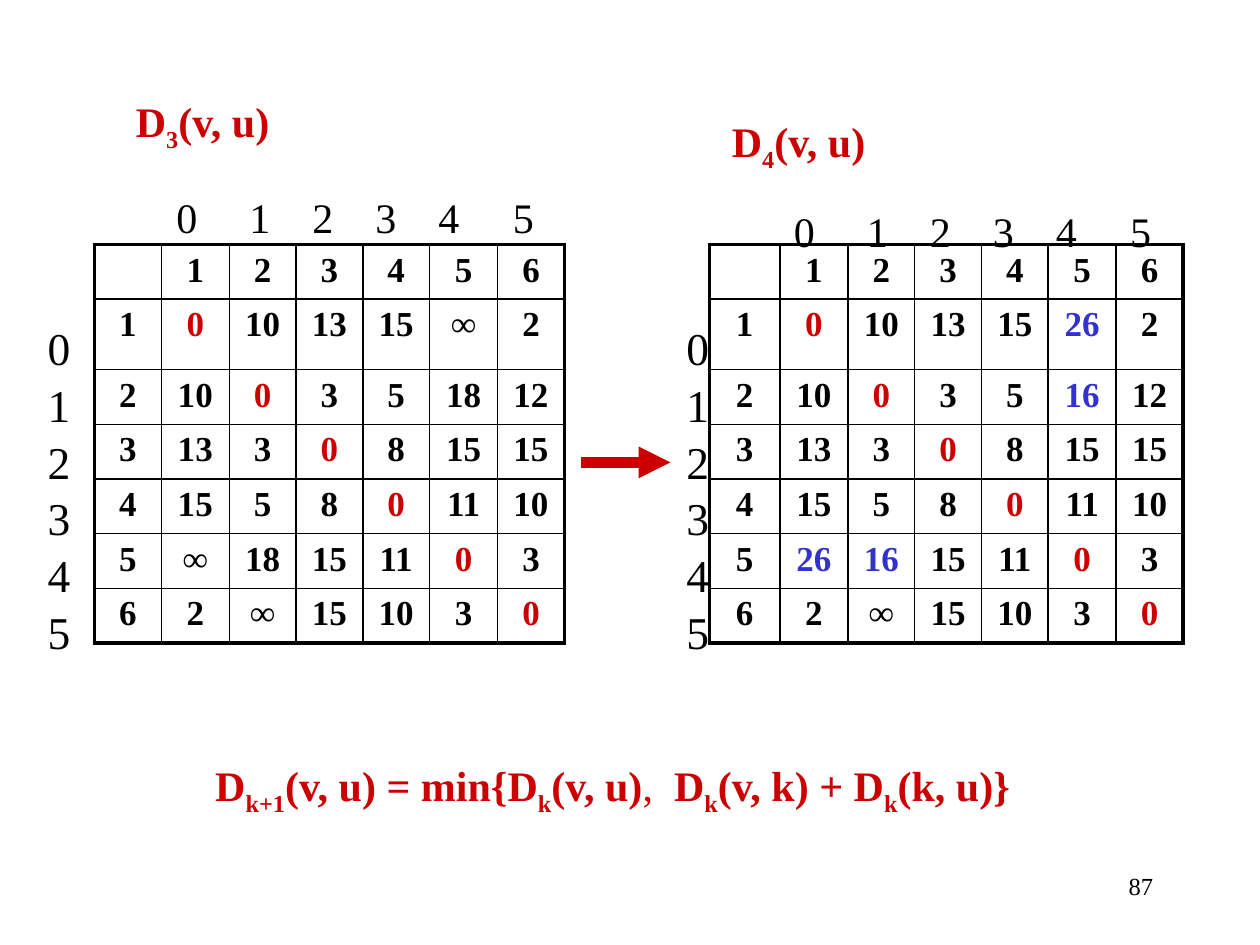
import pptx
import pptx.util
import pptx.dml.color
import pptx.enum.shapes
import pptx.enum.text
import pptx.oxml
import pptx.oxml.ns
from lxml import etree

Inches = pptx.util.Inches
Pt = pptx.util.Pt
RGB = pptx.dml.color.RGBColor
ALIGN = pptx.enum.text.PP_ALIGN

RED = RGB(0xCC, 0x00, 0x00)
BLUE = RGB(0x33, 0x33, 0xCC)
BLACK = RGB(0x00, 0x00, 0x00)
FACE = "Times New Roman"
WIDE, HIGH = 10, 7.5
THIN, THICK = 1, 2.25

D3 = [
    ["0", "10", "13", "15", "∞", "2"],
    ["10", "0", "3", "5", "18", "12"],
    ["13", "3", "0", "8", "15", "15"],
    ["15", "5", "8", "0", "11", "10"],
    ["∞", "18", "15", "11", "0", "3"],
    ["2", "∞", "15", "10", "3", "0"],
]
D4 = [
    ["0", "10", "13", "15", "26", "2"],
    ["10", "0", "3", "5", "16", "12"],
    ["13", "3", "0", "8", "15", "15"],
    ["15", "5", "8", "0", "11", "10"],
    ["26", "16", "15", "11", "0", "3"],
    ["2", "∞", "15", "10", "3", "0"],
]
PANELS = [
    dict(step="3", data=D3, old=D3, title=(0.98, 0.68), top=(1.22, 1.44),
         side=(0.28, 2.46), grid=(0.75, 1.94), first=0.53),
    dict(step="4", data=D4, old=D3, title=(5.71, 0.84), top=(6.12, 1.55),
         side=(5.35, 2.46), grid=(5.63, 1.94), first=0.56),
]
INDEX = ["0", "1", "2", "3", "4", "5"]
STOPS = [0.58, 1.08, 1.58, 2.08, 2.67]
COLS = [0.54, 0.53, 0.53, 0.53, 0.54, 0.53]
ROWS = [0.43, 0.56, 0.43, 0.43, 0.43, 0.43, 0.43]
RULE = [("D", "k+1"), ("(v, u) = min{D", "k"), ("(v, u)", ""), (", ", ""),
        ("D", "k"), ("(v, k) + D", "k"), ("(k, u)}", "")]


def style(para, size, color=BLACK, bold=False):
    font = para.font
    font.name, font.size, font.bold = FACE, Pt(size), bold
    font.color.rgb = color


def add_text(slide, spot, size):
    box = slide.shapes.add_textbox(*map(Inches, (*spot, *size)))
    frame = box.text_frame
    frame.word_wrap = True
    frame.margin_top, frame.margin_bottom = Inches(0.08), Inches(0.02)
    return frame


def add_math(para, parts):
    style(para, 24, RED, True)
    for base, sub in parts:
        run = para.add_run()
        run.text = base
        if base == ", ":
            run.font.bold = False
            run._r.get_or_add_rPr().set("spc", "300")
        if sub:
            low = para.add_run()
            low.text = sub
            low._r.get_or_add_rPr().set("baseline", "-25000")


def add_top(slide, spot):
    frame = add_text(slide, spot, (3.28, 0.5))
    frame.margin_left = Inches(0.18)
    para = frame.paragraphs[0]
    para.text = "\t".join(INDEX)
    style(para, 24)
    tabs = etree.Element(pptx.oxml.ns.qn("a:tabLst"))
    for stop in STOPS:
        etree.SubElement(tabs, pptx.oxml.ns.qn("a:tab"),
                         pos=str(Inches(stop)), algn="l")
    para._p.get_or_add_pPr().insert(0, tabs)


def add_side(slide, spot):
    frame = add_text(slide, spot, (0.83, 2.7))
    for row, label in enumerate(INDEX):
        para = frame.add_paragraph() if row else frame.paragraphs[0]
        para.text = label
        para.space_before = Pt(1.3)
        style(para, 26)


def add_edges(cell, row, col):
    props = cell._tc.get_or_add_tcPr()
    outer = {"lnL": col == 0, "lnR": col == len(COLS),
             "lnT": row == 0, "lnB": row == len(ROWS) - 1}
    for tag, thick in outer.items():
        line = etree.SubElement(props, pptx.oxml.ns.qn("a:" + tag),
                                w=str(Pt(THICK if thick else THIN)))
        fill = etree.SubElement(line, pptx.oxml.ns.qn("a:solidFill"))
        etree.SubElement(fill, pptx.oxml.ns.qn("a:srgbClr"), val=str(BLACK))


def add_grid(slide, panel):
    widths = [panel["first"]] + COLS
    size = sum(widths), sum(ROWS)
    table = slide.shapes.add_table(
        len(ROWS), len(widths), *map(Inches, (*panel["grid"], *size))).table
    table.first_row = table.horz_banding = False
    for col, width in enumerate(widths):
        table.columns[col].width = Inches(width)
    for row, height in enumerate(ROWS):
        table.rows[row].height = Inches(height)
        for col in range(len(widths)):
            cell = table.cell(row, col)
            color = BLACK
            if row and col:
                text = panel["data"][row - 1][col - 1]
                if row == col:
                    color = RED
                elif text != panel["old"][row - 1][col - 1]:
                    color = BLUE
            else:
                text = str(row + col) if row + col else ""
            add_edges(cell, row, col)
            cell.fill.background()
            para = cell.text_frame.paragraphs[0]
            para.text = text
            para.alignment = ALIGN.CENTER
            style(para, 20, color, True)


def add_arrow(slide):
    arrow = slide.shapes.add_connector(
        pptx.enum.shapes.MSO_CONNECTOR.STRAIGHT,
        *map(Inches, (4.61, 3.67, 5.32, 3.67)))
    arrow.line.color.rgb = RED
    arrow.line.width = Pt(6)
    etree.SubElement(arrow.line._get_or_add_ln(),
                     pptx.oxml.ns.qn("a:tailEnd"), type="triangle")
    etree.SubElement(arrow._element.spPr, pptx.oxml.ns.qn("a:effectLst"))


def main():
    deck = pptx.Presentation()
    deck.slide_width, deck.slide_height = Inches(WIDE), Inches(HIGH)
    slide = deck.slides.add_slide(deck.slide_layouts[6])
    for panel in PANELS:
        title = add_text(slide, panel["title"], (3.83, 0.5))
        add_math(title.paragraphs[0], [("D", panel["step"]), ("(v, u)", "")])
        add_top(slide, panel["top"])
        add_side(slide, panel["side"])
        add_grid(slide, panel)
    add_arrow(slide)
    rule = add_text(slide, (1.61, 5.95), (6.66, 0.5))
    add_math(rule.paragraphs[0], RULE)
    page = add_text(slide, (7.17, 6.83), (2.08, 0.5)).paragraphs[0]
    page.text = "87"
    page.alignment = ALIGN.RIGHT
    style(page, 14)
    deck.save("out.pptx")


if __name__ == "__main__":
    main()
